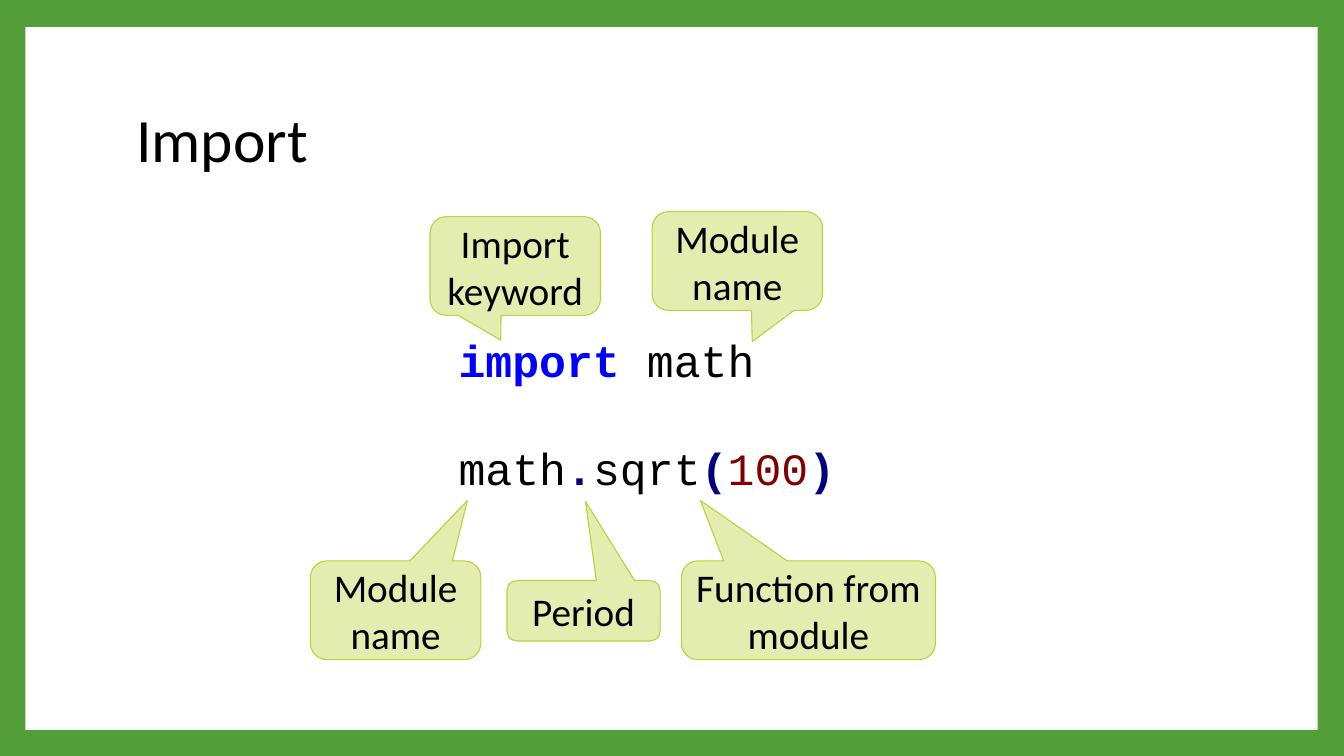
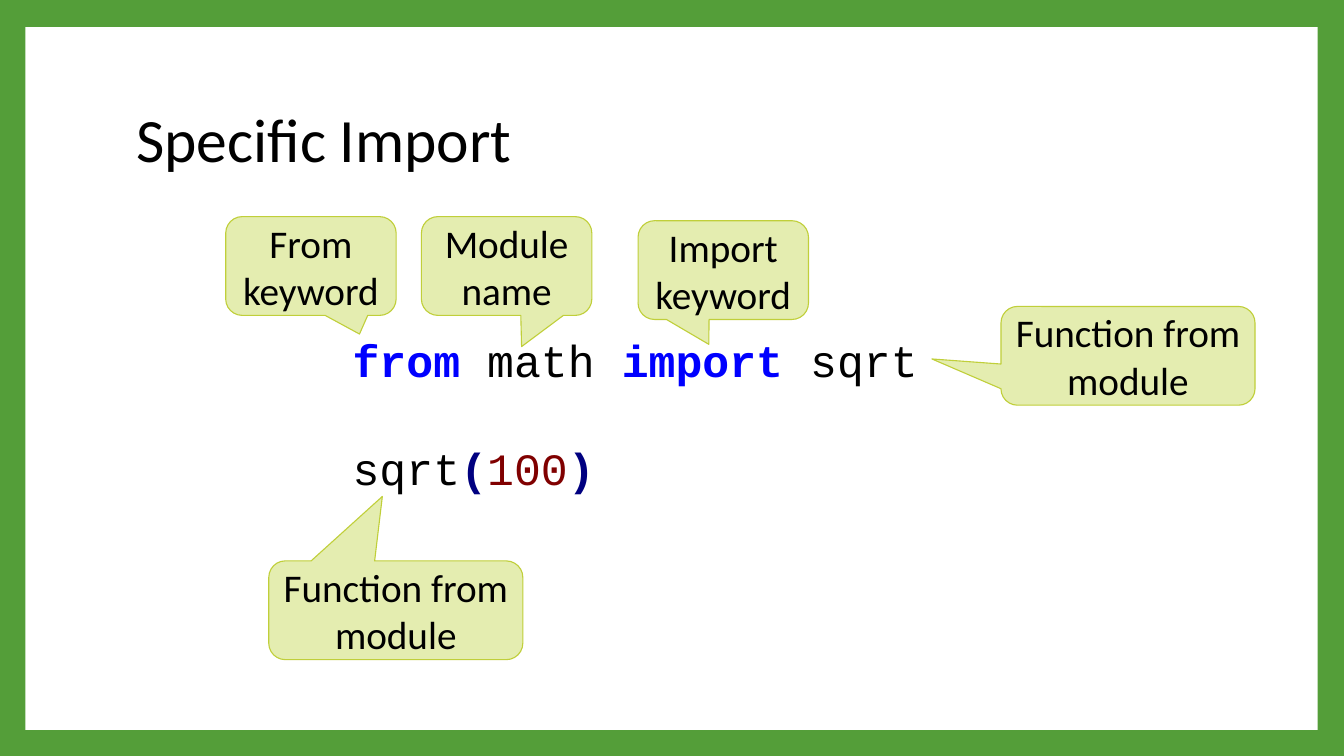
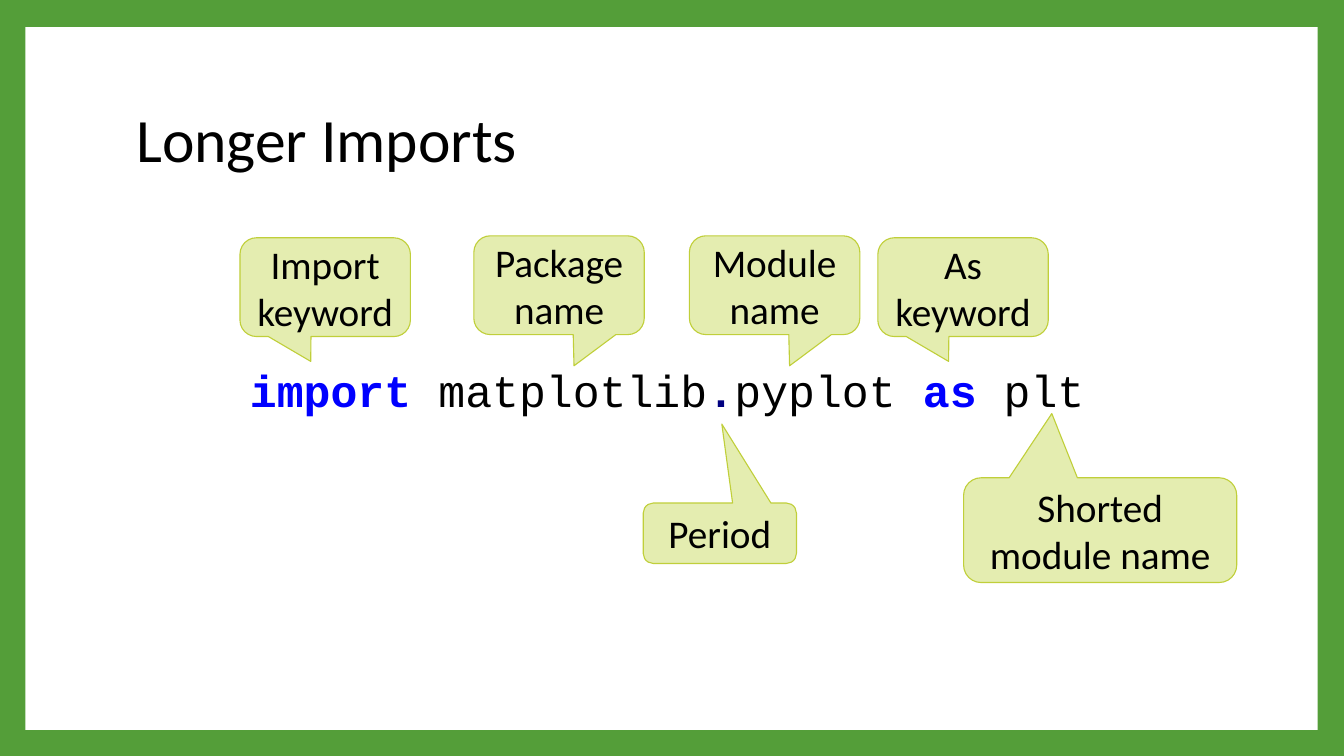
from typing import NamedTuple

from pptx import Presentation
from pptx.dml.color import RGBColor
from pptx.enum.shapes import MSO_SHAPE
from pptx.enum.text import MSO_ANCHOR, MSO_AUTO_SIZE, PP_ALIGN
from pptx.util import Inches, Pt

CALLOUT, RECT = MSO_SHAPE.ROUNDED_RECTANGULAR_CALLOUT, MSO_SHAPE.RECTANGLE
MIDDLE, LEFT, CENTER = MSO_ANCHOR.MIDDLE, PP_ALIGN.LEFT, PP_ALIGN.CENTER
NO_AUTOFIT = MSO_AUTO_SIZE.NONE

GREEN = RGBColor(0x54, 0x9E, 0x39)
WHITE = RGBColor(0xFF, 0xFF, 0xFF)
BLACK = RGBColor(0x00, 0x00, 0x00)
LIME = RGBColor(0xC0, 0xCF, 0x3A)
PALE_LIME = RGBColor(0xE4, 0xED, 0xB0)
KEYWORD = RGBColor(0x00, 0x00, 0xFF)
SYMBOL = RGBColor(0x00, 0x00, 0x80)
NUMBER = RGBColor(0x80, 0x00, 0x00)
BOLD_COLOURS = (KEYWORD, SYMBOL)

BODY_FONT, CODE_FONT = "Calibri", "Courier New"
TITLE_PT, CODE_PT, CALLOUT_PT = 44, 32, 28
CODE_GAP = Pt(39)

# One column is as wide as one character of code.
WIDTH, HEIGHT = Inches(13.333), Inches(7.5)
COL, ROW = WIDTH / 50, HEIGHT / 50


class Box(NamedTuple):
    """A place on the grid, in columns and rows."""
    col: float
    row: float
    cols: float
    rows: float

    def emu(self) -> tuple[int, int, int, int]:
        return (round(self.col * COL), round(self.row * ROW),
                round(self.cols * COL), round(self.rows * ROW))


class Style(NamedTuple):
    """Size of a callout and where its tail points, as shares of that size."""
    cols: float
    rows: float
    tail_x: float
    tail_y: float


class Callout(NamedTuple):
    text: str
    col: float
    row: float
    style: Style


class Token(NamedTuple):
    text: str
    colour: RGBColor = BLACK


class Lesson(NamedTuple):
    title: str
    code_box: Box
    code: list[list[Token]]
    callouts: list[Callout]


PANEL = Box(0.94, 1.8, 48.08, 46.47)
TITLE = Box(4.69, 4.47, 40.5, 9.87)

SMALL, WIDE = (6.34, 6.53), (9.45, 6.53)
TAIL_LEFT = Style(*SMALL, -0.085, 0.752)
TAIL_RIGHT = Style(*SMALL, 0.088, 0.816)
PERIOD = Style(5.7, 4, 0.013, -1.806)

CALL_SQRT = [Token("sqrt"), Token("(", SYMBOL), Token("100", NUMBER), Token(")", SYMBOL)]

LESSONS = [
    Lesson(
        "Import",
        Box(16.69, 21.67, 16, 11.47),
        [[Token("import", KEYWORD), Token(" math")],
         [Token("math"), Token(".", SYMBOL), *CALL_SQRT]],
        [Callout("Import keyword", 16, 14.33, TAIL_LEFT),
         Callout("Module name", 24.26, 14, TAIL_RIGHT),
         Callout("Module name", 11.55, 37.1, Style(*SMALL, 0.421, -1.111)),
         Callout("Function from module", 25.35, 37.1, Style(*WIDE, -0.425, -1.111)),
         Callout("Period", 18.86, 38.4, PERIOD)],
    ),
    Lesson(
        "Specific Import",
        Box(12.75, 21.67, 24.5, 11.47),
        [[Token("from", KEYWORD), Token(" math "), Token("import", KEYWORD), Token(" sqrt")],
         CALL_SQRT],
        [Callout("Import keyword", 23.74, 14.6, TAIL_LEFT),
         Callout("Module name", 15.68, 14.33, TAIL_RIGHT),
         Callout("Function from module", 37.24, 20.27, Style(*WIDE, -0.772, 0.032)),
         Callout("From keyword", 8.4, 14.33, Style(*SMALL, 0.285, 0.689)),
         Callout("Function from module", 10, 37.1, Style(*WIDE, -0.053, -1.153))],
    ),
    Lesson(
        "Longer Imports",
        Box(8.93, 23.67, 32.14, 4.27),
        [[Token("import ", KEYWORD), Token("matplotlib"), Token(".", SYMBOL),
          Token("pyplot "), Token("as ", KEYWORD), Token("plt")]],
        [Callout("Import keyword", 8.93, 15.73, TAIL_LEFT),
         Callout("Module name", 25.65, 15.6, TAIL_RIGHT),
         Callout("Period", 23.93, 33.27, PERIOD),
         Callout("As keyword", 32.66, 15.73, TAIL_LEFT),
         Callout("Shorted module name", 35.85, 31.6, Style(10.16, 6.93, -0.177, -1.113)),
         Callout("Package name", 17.63, 15.6, TAIL_RIGHT)],
    ),
]


def add_run(p, text: str, font: str, size: int, colour: RGBColor = BLACK,
            bold: bool = False) -> None:
    r = p.add_run()
    r.text = text
    r.font.name, r.font.size, r.font.bold = font, Pt(size), bold
    r.font.color.rgb = colour


def add_panel(s) -> None:
    """Put the white panel behind everything else on the slide."""
    sp = s.shapes.add_shape(RECT, *PANEL.emu())
    sp.shadow.inherit = False
    sp.fill.solid()
    sp.fill.fore_color.rgb = WHITE
    sp.line.fill.background()
    s.shapes.title.element.addprevious(sp.element)


def add_title(s, text: str) -> None:
    sp = s.shapes.title
    sp.left, sp.top, sp.width, sp.height = TITLE.emu()
    tf = sp.text_frame
    tf.vertical_anchor, tf.auto_size = MIDDLE, NO_AUTOFIT
    p = tf.paragraphs[0]
    p.alignment, p.line_spacing = LEFT, 0.9
    add_run(p, text, BODY_FONT, TITLE_PT)


def add_code(s, box: Box, lines: list[list[Token]]) -> None:
    tf = s.shapes.add_textbox(*box.emu()).text_frame
    tf.word_wrap = True
    for i, line in enumerate(lines):
        p = tf.add_paragraph() if i else tf.paragraphs[0]
        if i:
            p.space_before = CODE_GAP
        for token in line:
            add_run(p, token.text, CODE_FONT, CODE_PT, token.colour,
                    token.colour in BOLD_COLOURS)


def add_callout(s, callout: Callout) -> None:
    style = callout.style
    box = Box(callout.col, callout.row, style.cols, style.rows)
    sp = s.shapes.add_shape(CALLOUT, *box.emu())
    sp.adjustments[0], sp.adjustments[1] = style.tail_x, style.tail_y
    sp.shadow.inherit = False
    sp.fill.solid()
    sp.fill.fore_color.rgb = PALE_LIME
    sp.line.color.rgb, sp.line.width = LIME, Pt(0.79)
    tf = sp.text_frame
    tf.word_wrap, tf.vertical_anchor = True, MIDDLE
    p = tf.paragraphs[0]
    p.alignment = CENTER
    add_run(p, callout.text, BODY_FONT, CALLOUT_PT)


def main() -> None:
    prs = Presentation()
    prs.slide_width, prs.slide_height = WIDTH, HEIGHT
    background = prs.slide_master.background.fill
    background.solid()
    background.fore_color.rgb = GREEN
    title_only = prs.slide_layouts.get_by_name("Title Only")
    for lesson in LESSONS:
        s = prs.slides.add_slide(title_only)
        add_panel(s)
        add_title(s, lesson.title)
        add_code(s, lesson.code_box, lesson.code)
        for callout in lesson.callouts:
            add_callout(s, callout)
    prs.save("out.pptx")


if __name__ == "__main__":
    main()
